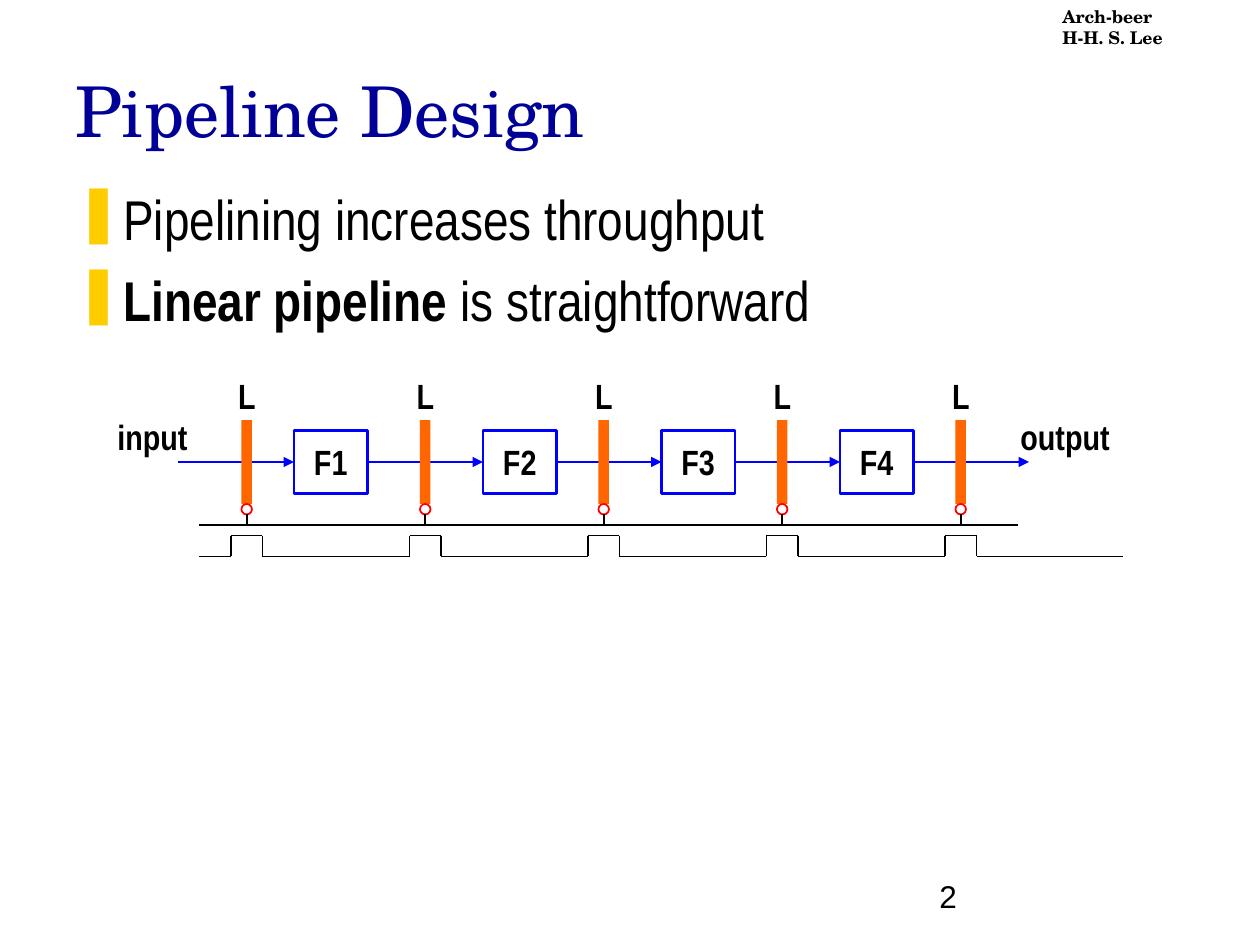
from typing import NamedTuple

from lxml.etree import SubElement
from pptx import Presentation
from pptx.dml.color import RGBColor
from pptx.enum.shapes import MSO_CONNECTOR, MSO_SHAPE
from pptx.enum.text import MSO_ANCHOR as Anchor, PP_ALIGN as Align
from pptx.oxml.ns import qn
from pptx.util import Inches, Pt

COLOURS = {"ink": "000000", "title": "000099", "bullet": "FFCC00",
           "stage": "0000FF", "latch": "FF6600", "inverter": "FF0000"}
SERIF, NARROW, SANS = "TeX Gyre Schola", "Arial Narrow", "Arial"
WIDTH, HEIGHT = Inches(10), Inches(7.5)
CELL = WIDTH / 120  # grid of 120 columns by 90 rows

FLOW_ROW, BUS_ROW = 44, 50
PULSE_TOP, PULSE_BASE = 51, 53
LATCH_CENTRES = [23.5 + 17 * index for index in range(5)]


class Area(NamedTuple):
    column: float
    row: float
    columns: float
    rows: float


class Style(NamedTuple):
    size: float
    font: str
    colour: str = "ink"
    bold: bool = False


class Label(NamedTuple):
    text: str
    area: Area
    style: Style
    anchor: Anchor = Anchor.TOP
    wrap: bool = True


class Stage(NamedTuple):
    name: str
    column: float


DIAGRAM = Style(20, NARROW, bold=True)
STAGES = [Stage("F1", 28), Stage("F2", 46), Stage("F3", 63), Stage("F4", 80)]
LABELS = [
    Label("Arch-beer\nH-H. S. Lee", Area(100, 0, 20, 5.3), Style(10, SERIF, bold=True)),
    Label("Pipeline Design", Area(6, 4, 102, 11), Style(40, SERIF, "title"), Anchor.BOTTOM),
    Label("input", Area(10, 39, 9.1, 5.3), DIAGRAM, wrap=False),
    Label("output", Area(96, 39, 10.9, 5.3), DIAGRAM, wrap=False),
    Label("2", Area(88.3, 81.7, 25, 6), Style(18, SANS), Anchor.BOTTOM),
]
LABELS += [Label("L", Area(centre - 2, 35.1, 4, 5.3), DIAGRAM, wrap=False)
           for centre in LATCH_CENTRES]
BULLETS = [[("Pipelining increases throughput", False)],
           [("Linear pipeline", True), (" is straightforward", False)]]


def rgb(name: str) -> RGBColor:
    return RGBColor.from_string(COLOURS[name])


def grid(*cells: float) -> list:
    return [round(cell * CELL) for cell in cells]


def set_font(font, style: Style) -> None:
    font.size, font.name, font.bold = Pt(style.size), style.font, style.bold
    font.color.rgb = rgb(style.colour)


def add_label(page, label: Label):
    box = page.shapes.add_textbox(*grid(*label.area))
    frame = box.text_frame
    frame.word_wrap = label.wrap
    frame.vertical_anchor = label.anchor
    frame.text = label.text
    for para in frame.paragraphs:
        set_font(para.font, label.style)
        for span in para.runs:
            set_font(span.font, label.style)
    return box


def add_bullets(page) -> None:
    frame = page.shapes.add_textbox(*grid(6, 17, 110, 20)).text_frame
    frame.word_wrap = True
    for index, spans in enumerate(BULLETS):
        para = frame.add_paragraph() if index else frame.paragraphs[0]
        if index:
            para.space_before = Pt(8)
        properties = para._p.get_or_add_pPr()
        properties.set("marL", str(Inches(0.38)))
        properties.set("indent", str(-Inches(0.38)))
        colour = SubElement(properties, qn("a:buClr"))
        SubElement(colour, qn("a:srgbClr"), val=COLOURS["bullet"])
        SubElement(properties, qn("a:buChar"), char="❚")
        for text, bold in spans:
            span = para.add_run()
            span.text = text
            set_font(span.font, Style(32, NARROW, bold=bold))


def add_shape(page, kind, area: Area, fill: str = "", line: str = "", width: float = 1):
    shape = page.shapes.add_shape(kind, *grid(*area))
    shape.shadow.inherit = False
    if fill:
        shape.fill.solid()
        shape.fill.fore_color.rgb = rgb(fill)
    else:
        shape.fill.background()
    if line:
        shape.line.color.rgb = rgb(line)
        shape.line.width = Pt(width)
    else:
        shape.line.fill.background()
    return shape


def add_line(page, start: tuple, end: tuple, colour: str = "ink"):
    line = page.shapes.add_connector(MSO_CONNECTOR.STRAIGHT, *grid(*start, *end))
    line.line.color.rgb = rgb(colour)
    line.line.width = Pt(1)
    SubElement(line._element.spPr, qn("a:effectLst"))
    return line


def add_stage(page, stage: Stage):
    box = add_shape(page, MSO_SHAPE.RECTANGLE, Area(stage.column, 41, 7, 6),
                    line="stage", width=1.5)
    frame = box.text_frame
    frame.text = stage.name
    frame.word_wrap = False
    frame.vertical_anchor = Anchor.MIDDLE
    para = frame.paragraphs[0]
    para.alignment = Align.CENTER
    set_font(para.runs[0].font, DIAGRAM)
    return box


def add_flow(page) -> None:
    """Draw the stages and the arrows that lead in, between and out of them."""
    boxes = [add_stage(page, stage) for stage in STAGES]
    starts = [17] + [stage.column + 7 for stage in STAGES]
    ends = [stage.column for stage in STAGES] + [98]
    sources, targets = [None] + boxes, boxes + [None]
    for start, end, source, target in zip(starts, ends, sources, targets):
        arrow = add_line(page, (start, FLOW_ROW), (end, FLOW_ROW), "stage")
        SubElement(arrow.line._get_or_add_ln(), qn("a:tailEnd"), type="triangle")
        if source:
            arrow.begin_connect(source, 3)
        if target:
            arrow.end_connect(target, 1)


def add_latch(page, centre: float) -> None:
    add_shape(page, MSO_SHAPE.RECTANGLE, Area(centre - 0.5, 40, 1, 8), fill="latch")
    add_shape(page, MSO_SHAPE.OVAL, Area(centre - 0.5, 48, 1, 1), line="inverter")
    add_line(page, (centre, 49), (centre, BUS_ROW))


def add_clock(page) -> None:
    add_line(page, (19, BUS_ROW), (97, BUS_ROW))
    points = [(19, PULSE_BASE)]
    for centre in LATCH_CENTRES:
        rise, fall = centre - 1.5, centre + 1.5
        points += [(rise, PULSE_BASE), (rise, PULSE_TOP),
                   (fall, PULSE_TOP), (fall, PULSE_BASE)]
    points.append((107, PULSE_BASE))
    for start, end in zip(points, points[1:]):
        add_line(page, start, end)


def main() -> None:
    deck = Presentation()
    deck.slide_width, deck.slide_height = WIDTH, HEIGHT
    page = deck.slides.add_slide(deck.slide_layouts[6])
    add_bullets(page)
    add_flow(page)
    for centre in LATCH_CENTRES:
        add_latch(page, centre)
    add_clock(page)
    for label in LABELS:
        add_label(page, label)
    deck.save("out.pptx")


if __name__ == "__main__":
    main()
